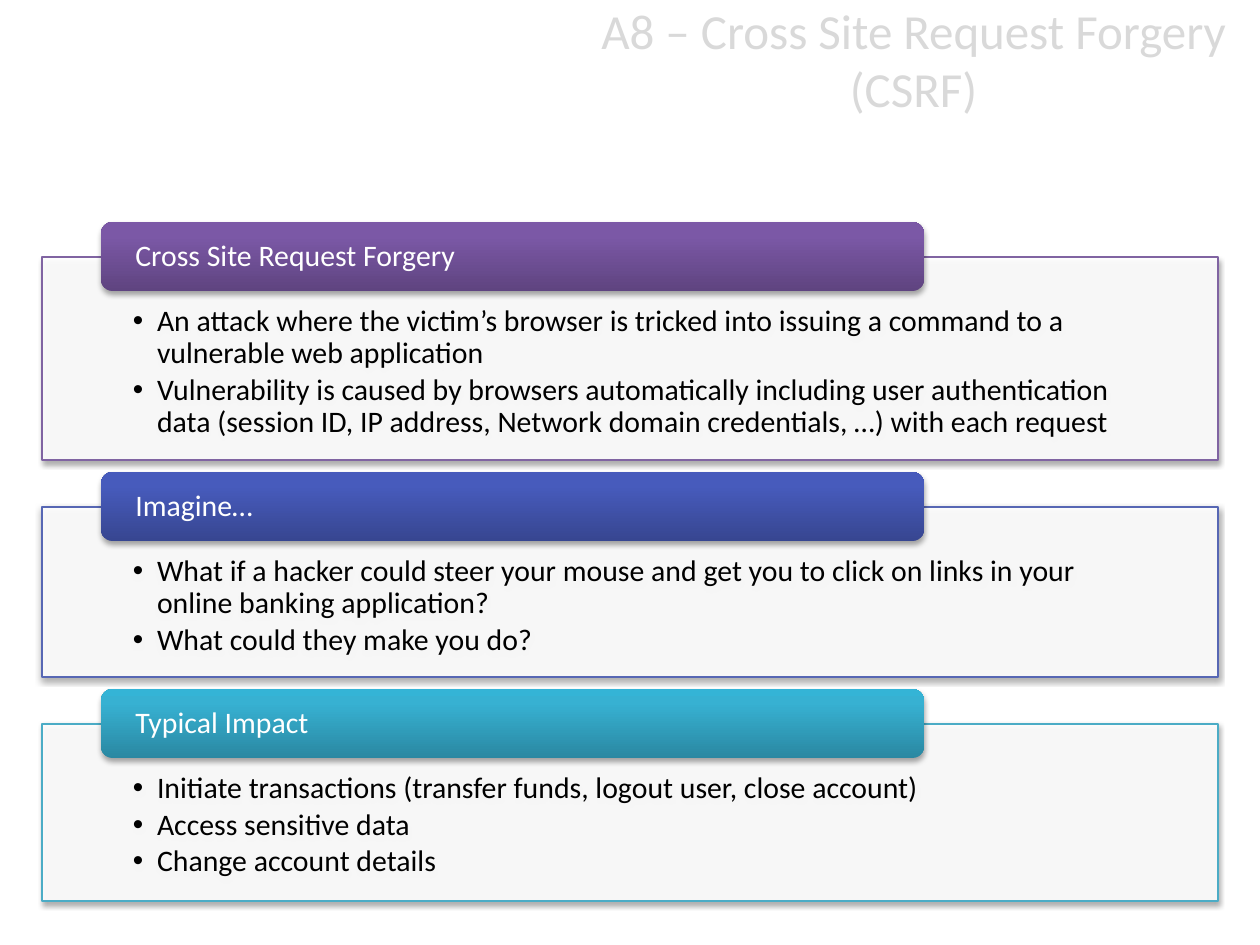
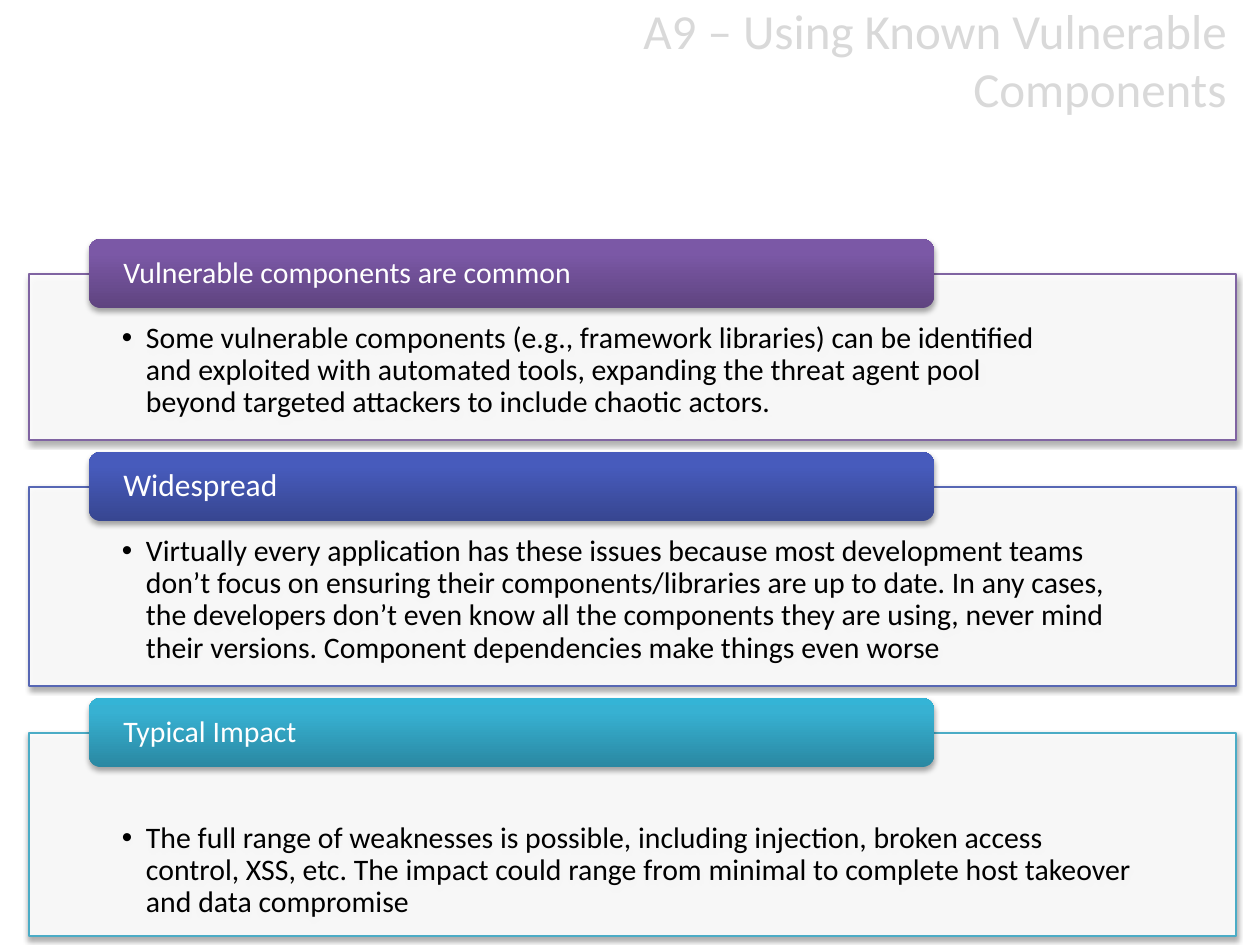
from dataclasses import dataclass

from lxml import etree
from pptx import Presentation
from pptx import util as u
from pptx.dml.color import RGBColor
from pptx.enum import shapes, text
from pptx.oxml import ns

# Content: title, its alignment, frame (left, top, width), then sections.
# Section: heading, panel height, bullets, optional settings.
SLIDES = [
    ("A8 – Cross Site Request Forgery (CSRF)", "CENTER", (42, 257, 1176), [
        ("Cross Site Request Forgery", 203, [
            "An attack where the victim’s browser is tricked into issuing a "
            "command to a vulnerable web application",
            "Vulnerability is caused by browsers automatically including user "
            "authentication data (session ID, IP address, Network domain "
            "credentials, …) with each request"], {}),
        ("Imagine…", 170, [
            "What if a hacker could steer your mouse and get you to click on "
            "links in your online banking application?",
            "What could they make you do?"], {}),
        ("Typical Impact", 177, [
            "Initiate transactions (transfer funds, logout user, close account)",
            "Access sensitive data",
            "Change account details"], {}),
    ]),
    ("A9 – Using Known Vulnerable Components", "RIGHT", (29, 274, 1207), [
        ("Vulnerable components are common", 166, [
            "Some vulnerable components (e.g., framework libraries) "
            "can be identified and exploited with automated tools, "
            "expanding the threat agent pool beyond targeted "
            "attackers to include chaotic actors."], {"trim": 95}),
        ("Widespread", 199, [
            "Virtually every application has these issues because most "
            "development teams don’t focus on ensuring their "
            "components/libraries are up to date. In any cases, the developers "
            "don’t even know all the components they are using, never mind "
            "their versions. Component dependencies make things even worse"],
            {"size": 18}),
        ("Typical Impact", 203, [
            "The full range of weaknesses is possible, including injection, "
            "broken access control, XSS, etc. The impact could range from "
            "minimal to complete host takeover and data compromise"],
            {"drop": 41}),
    ]),
]


@dataclass(frozen=True)
class Theme:
    font: str = "Calibri"
    head: int = 28
    body: int = 17
    title: str = "D9D9D9"
    ink: str = "000000"
    paper: str = "FFFFFF"
    # Per section: panel line, then pill gradient from bottom to top
    tones: tuple = (
        ("8064A2", ("5F4480", "7B58A6", "7C57A8")),
        ("5767B4", ("374691", "475BBC", "455ABF")),
        ("4BACC6", ("2A88A2", "37B1D2", "34B4D6")),
    )
    stops: tuple = (0, 80, 100)


T = Theme()
TITLE = (588, 10, 651, 98)
PILL, RISE, GAP = 69, 35, 47   # pill height, rise above panel, panel gap
HANG = 24                      # bullet indent


def px(n):
    return u.Emu(round(n * 914400 / 126))


def rgb(code):
    return RGBColor.from_string(code)


def sub(node, tag, **attrs):
    return etree.SubElement(node, ns.qn(tag), attrs)


def write(shape, lines, size=T.body, color=T.ink, align="LEFT", anchor="TOP",
          pad=None, tight=None, after=0, bullet=False):
    """Fill a shape's frame with one paragraph per line."""
    frame = shape.text_frame
    frame.word_wrap = True
    frame.vertical_anchor = text.MSO_ANCHOR[anchor]
    if pad:
        (frame.margin_left, frame.margin_top,
         frame.margin_right, frame.margin_bottom) = map(px, pad)
    for i, line in enumerate(lines):
        para = frame.add_paragraph() if i else frame.paragraphs[0]
        para.alignment = text.PP_ALIGN[align]
        para.line_spacing = tight
        para.space_after = u.Pt(after)
        run = para.add_run()
        run.text = line
        run.font.name, run.font.size = T.font, u.Pt(size)
        run.font.color.rgb = rgb(color)
        if bullet:
            props = para._p.get_or_add_pPr()
            props.set("marL", str(px(HANG)))
            props.set("indent", str(-px(HANG)))
            sub(props, "a:buFont", typeface="Arial")
            sub(props, "a:buChar", char="•")


def block(slide, kind, box):
    """Add a preset shape with the shared soft shadow."""
    shape = slide.shapes.add_shape(shapes.MSO_SHAPE[kind], *map(px, box))
    shape.shadow.inherit = False
    glow = sub(shape._element.spPr.find(ns.qn("a:effectLst")), "a:outerShdw",
               blurRad="40000", dist="23000", dir="5400000", rotWithShape="0")
    sub(sub(glow, "a:srgbClr", val="000000"), "a:alpha", val="35000")
    return shape


def panel(slide, box, tone, lines, drop=0, trim=0):
    shape = block(slide, "RECTANGLE", box)
    shape.fill.solid()
    shape.fill.fore_color.rgb = rgb(T.paper)
    tint = shape._element.spPr.find(ns.qn("a:solidFill"))[0]
    sub(tint, "a:alpha", val="90000")
    shape.line.color.rgb = rgb(tone)
    shape.line.width = u.Pt(0.75)
    side = round(box[2] * 0.0772)
    write(shape, lines, pad=(side, 49 + drop, side + trim, 16), tight=0.9,
          after=2.5, bullet=True)


def pill(slide, box, shades, label, size):
    shape = block(slide, "ROUNDED_RECTANGLE", box)
    shape.fill.gradient()
    shape.fill.gradient_angle = 90
    stops = shape._element.spPr.find(".//" + ns.qn("a:gsLst"))
    for old in list(stops):
        stops.remove(old)
    for at, shade in zip(T.stops, shades):
        sub(sub(stops, "a:gs", pos=str(at * 1000)), "a:srgbClr", val=shade)
    shape.line.fill.background()
    write(shape, [label], size=size, color=T.paper, anchor="MIDDLE",
          pad=(31, 0, 31, 0), tight=0.9)


def build(deck, title, align, frame, parts):
    slide = deck.slides.add_slide(deck.slide_layouts[6])
    head = slide.shapes.add_textbox(*map(px, TITLE))
    write(head, [title], size=T.head, color=T.title, align=align,
          anchor="MIDDLE")

    # Panels stack downward, each with a pill across its top edge
    left, top, width = frame
    for (label, high, lines, opts), (tone, shades) in zip(parts, T.tones):
        panel(slide, (left, top, width, high), tone, lines,
              opts.get("drop", 0), opts.get("trim", 0))
        spot = (left + round(width * 0.05), top - RISE,
                round(width * 0.7), PILL)
        pill(slide, spot, shades, label, opts.get("size", T.body))
        top += high + GAP


def main():
    deck = Presentation()
    deck.slide_width, deck.slide_height = px(1260), px(945)
    for item in SLIDES:
        build(deck, *item)
    deck.save("out.pptx")


if __name__ == "__main__":
    main()
